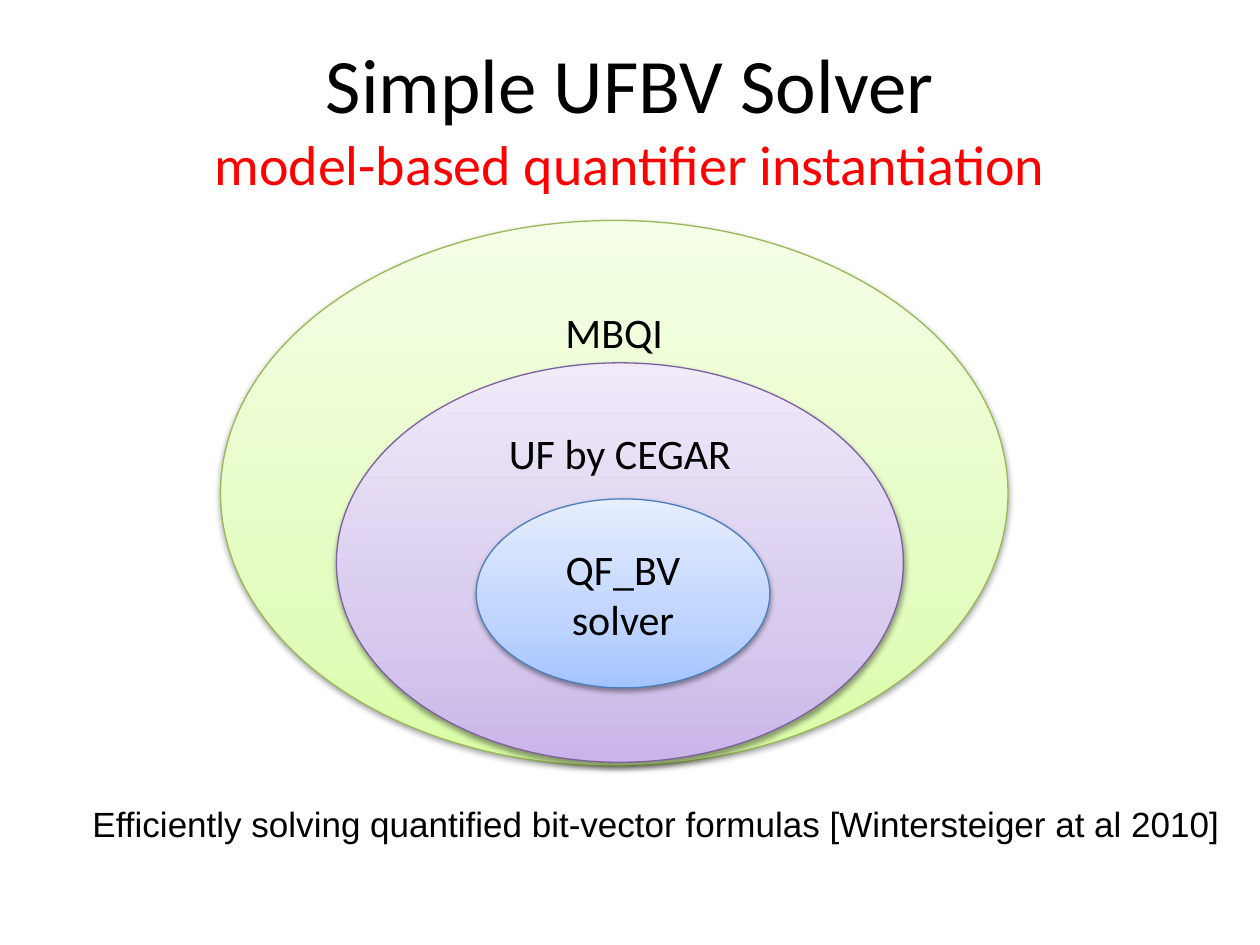
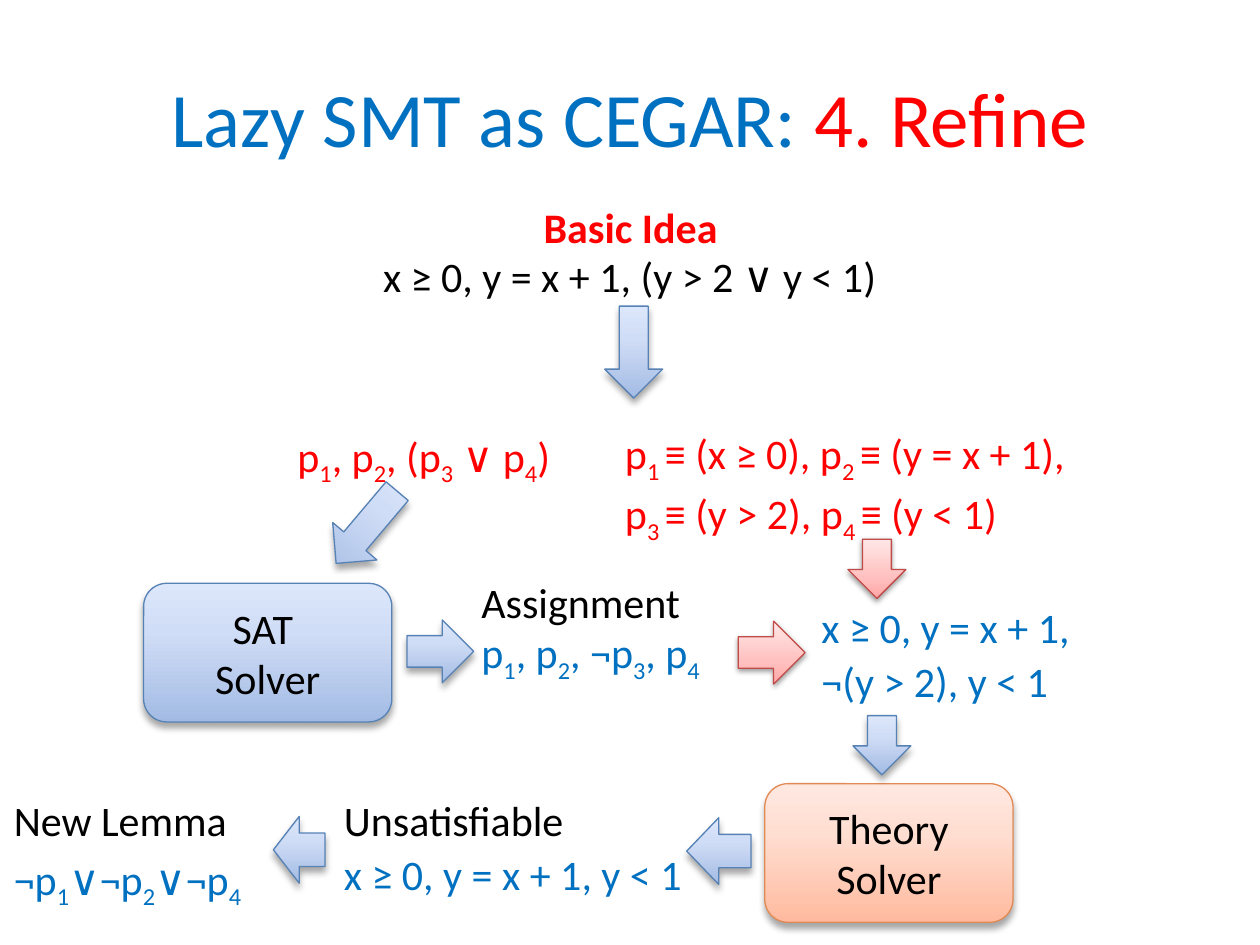
"""Build two slides on layered and lazy solvers for satisfiability modulo theories."""
from dataclasses import dataclass
from typing import NamedTuple

from lxml.etree import SubElement
from pptx import Presentation
from pptx.dml.color import RGBColor
from pptx.enum.shapes import MSO_SHAPE as Preset
from pptx.enum.text import MSO_ANCHOR as Anchor, MSO_AUTO_SIZE as AutoSize, PP_ALIGN as Align
from pptx.oxml.ns import qn
from pptx.util import Inches, Pt

COLUMNS, ROWS = 100, 75
SLIDE_WIDTH, SLIDE_HEIGHT = Inches(10), Inches(7.5)


class Box(NamedTuple):
    column: float
    row: float
    columns: float
    rows: float

    def lengths(self) -> tuple[int, ...]:
        across, down = SLIDE_WIDTH / COLUMNS, SLIDE_HEIGHT / ROWS
        return (round(self.column * across), round(self.row * down),
                round(self.columns * across), round(self.rows * down))


class Shadow(NamedTuple):
    opacity: int
    blur: float
    distance: float


class Paint(NamedTuple):
    stops: tuple[tuple[int, str], ...]
    outline: str
    shadow: Shadow


def ramp(middle: int, colors: str, outline: str, shadow: Shadow) -> Paint:
    return Paint(tuple(zip((0, middle, 100), colors.split())), outline, shadow)


SOFT = Shadow(38, 3.1, 1.6)
DEEP = Shadow(35, 4, 3)


@dataclass(frozen=True)
class Theme:
    font: str = "Calibri"
    citation_font: str = "Arial"
    title: int = 44
    subtitle: int = 32
    text: int = 24
    citation: int = 20
    spacing: float = 4.8
    black: str = "000000"
    red: str = "FF0000"
    blue: str = "0070C0"
    green_fill: Paint = ramp(35, "DAFDA7 E4FCC2 F5FFE7", "98B955", SOFT)
    purple_fill: Paint = ramp(35, "C9B5E8 D8CBEE F0EAF9", "7D60A0", SOFT)
    sky_fill: Paint = ramp(35, "A4C4FF BFD4FF E6EEFF", "4B7EBC", SOFT)
    red_fill: Paint = ramp(35, "FFA6A5 FFC0BF FFE7E7", "BF4C48", SOFT)
    blue_fill: Paint = ramp(65, "A3BBE4 D0DDF6 DCE7FB", "5782B5", DEEP)
    orange_fill: Paint = ramp(65, "FFBA9F FFDED2 FFE8E0", "E28A54", DEEP)


THEME = Theme()
TITLE_BOX = Box(5, 3, 90, 12.5)


@dataclass(frozen=True)
class Node:
    preset: Preset
    box: Box
    paint: Paint
    label: str = ""
    anchor: Anchor = Anchor.MIDDLE
    rotation: float = 0


class Line(NamedTuple):
    text: str
    color: str


@dataclass(frozen=True)
class Formula:
    box: Box
    lines: tuple[Line, ...]
    align: Align = Align.LEFT
    spacing: float = THEME.spacing


LAYERS = (
    Node(Preset.OVAL, Box(17.5, 17.5, 62.5, 43.3), THEME.green_fill, "MBQI", Anchor.TOP),
    Node(Preset.OVAL, Box(26.7, 28.8, 45, 31.7), THEME.purple_fill, "UF by CEGAR", Anchor.TOP),
    Node(Preset.OVAL, Box(37.8, 39.6, 23.3, 15), THEME.sky_fill, "QF_BV\nsolver"),
)

SOLVERS = (
    Node(Preset.ROUNDED_RECTANGLE, Box(11.4, 46.3, 19.7, 11), THEME.blue_fill, "SAT \nSolver"),
    Node(Preset.ROUNDED_RECTANGLE, Box(60.7, 62.2, 19.7, 11), THEME.orange_fill,
         "Theory\nSolver"),
)

ARROWS = (
    Node(Preset.DOWN_ARROW, Box(48, 24.3, 4.6, 7.3), THEME.blue_fill),
    Node(Preset.DOWN_ARROW, Box(26.8, 38.1, 4.6, 7.5), THEME.blue_fill, rotation=40.2),
    Node(Preset.RIGHT_ARROW, Box(32.3, 49.2, 5.3, 5), THEME.blue_fill),
    Node(Preset.RIGHT_ARROW, Box(58.6, 49.3, 5.3, 5), THEME.red_fill),
    Node(Preset.DOWN_ARROW, Box(67.3, 42.8, 4.6, 4.7), THEME.red_fill),
    Node(Preset.DOWN_ARROW, Box(67.7, 56.8, 4.6, 4.7), THEME.blue_fill),
    Node(Preset.LEFT_ARROW, Box(54.5, 64.9, 5.1, 5.3), THEME.blue_fill),
    Node(Preset.LEFT_ARROW, Box(21.7, 64.8, 4.1, 5.3), THEME.blue_fill),
)

FORMULAS = (
    Formula(Box(4.5, 20.3, 91.7, 3.6),
            (Line("x ≥ 0, y = x + 1, (y > 2 ∨ y < 1) ", THEME.black),), Align.CENTER),
    Formula(Box(23.6, 34.2, 23.8, 3.6),
            (Line("p{1}, p{2}, (p{3} ∨ p{4})", THEME.red),)),
    Formula(Box(49.6, 34, 40.8, 8.1),
            (Line("p{1 }≡ (x ≥ 0), p{2 }≡ (y = x + 1),", THEME.red),
             Line("p{3 }≡ (y > 2), p{4 }≡ (y < 1)", THEME.red))),
    Formula(Box(38.2, 46.2, 23.8, 7.3),
            (Line("Assignment", THEME.black),
             Line("p{1}, p{2}, ¬p{3}, p{4}", THEME.blue)), spacing=0),
    Formula(Box(65.2, 48.2, 21.7, 8.1),
            (Line("x ≥ 0, y = x + 1,", THEME.blue), Line("¬(y > 2), y < 1", THEME.blue))),
    Formula(Box(27.3, 63.5, 27.3, 8.1),
            (Line("Unsatisfiable", THEME.black),
             Line("x ≥ 0, y = x + 1, y < 1", THEME.blue))),
    Formula(Box(1.1, 63.5, 27.3, 8.1),
            (Line("New Lemma", THEME.black), Line("¬p{1}∨¬p{2}∨¬p{4}", THEME.blue))),
)


def style(font, size: float, color: str, name: str = THEME.font, bold: bool = False) -> None:
    font.name, font.size, font.bold = name, Pt(size), bold
    font.color.rgb = RGBColor.from_string(color)


def place(shape, box: Box) -> None:
    shape.left, shape.top, shape.width, shape.height = box.lengths()


def set_title(slide, parts: tuple[tuple[str, int, str], ...], broken: bool = False) -> None:
    title = slide.shapes.title
    place(title, TITLE_BOX)
    frame = title.text_frame
    frame.auto_size, frame.vertical_anchor = AutoSize.NONE, Anchor.MIDDLE
    paragraph = frame.paragraphs[0]
    paragraph.alignment = Align.CENTER
    for index, (text, size, color) in enumerate(parts):
        if broken and index:
            paragraph.add_line_break()
        run = paragraph.add_run()
        run.text = text
        style(run.font, size, color)


def add_color(parent, color: str):
    element = SubElement(parent, qn("a:srgbClr"))
    element.set("val", color)
    return element


def apply_paint(shape, paint: Paint) -> None:
    shape.fill.gradient()
    shape.fill.gradient_angle = 90
    shape.line.color.rgb = RGBColor.from_string(paint.outline)
    shape.line.width = Pt(0.75)
    shape.shadow.inherit = False
    properties = shape._element.spPr
    stops = properties.find(f"{qn('a:gradFill')}/{qn('a:gsLst')}")
    for stop in list(stops):
        stops.remove(stop)
    for position, color in paint.stops:
        stop = SubElement(stops, qn("a:gs"))
        stop.set("pos", str(position * 1000))
        add_color(stop, color)
    shadow = SubElement(properties.find(qn("a:effectLst")), qn("a:outerShdw"))
    shadow.set("blurRad", str(Pt(paint.shadow.blur)))
    shadow.set("dist", str(Pt(paint.shadow.distance)))
    shadow.set("dir", str(90 * 60000))
    shadow.set("rotWithShape", "0")
    alpha = SubElement(add_color(shadow, THEME.black), qn("a:alpha"))
    alpha.set("val", str(paint.shadow.opacity * 1000))


def add_node(slide, node: Node) -> None:
    shape = slide.shapes.add_shape(node.preset, *node.box.lengths())
    shape.rotation = node.rotation
    apply_paint(shape, node.paint)
    if node.label:
        frame = shape.text_frame
        frame.text = node.label
        frame.vertical_anchor = node.anchor
        for paragraph in frame.paragraphs:
            paragraph.alignment = Align.CENTER
            style(paragraph.runs[0].font, THEME.text, THEME.black)


def add_formula(slide, formula: Formula) -> None:
    frame = slide.shapes.add_textbox(*formula.box.lengths()).text_frame
    frame.word_wrap = True
    frame.margin_left = frame.margin_right = frame.margin_top = frame.margin_bottom = 0
    for index, line in enumerate(formula.lines):
        paragraph = frame.add_paragraph() if index else frame.paragraphs[0]
        paragraph.alignment, paragraph.line_spacing = formula.align, 0.9
        if index:
            paragraph.space_before = Pt(formula.spacing)
        for position, text in enumerate(line.text.replace("}", "{").split("{")):
            if text:
                run = paragraph.add_run()
                run.text = text
                style(run.font, THEME.text, line.color)
                if position % 2:
                    run._r.get_or_add_rPr().set("baseline", "-25000")


def add_citation(slide, box: Box, text: str) -> None:
    frame = slide.shapes.add_textbox(*box.lengths()).text_frame
    frame.word_wrap = True
    frame.text = text
    paragraph = frame.paragraphs[0]
    paragraph.alignment = Align.CENTER
    style(paragraph.runs[0].font, THEME.citation, THEME.black, THEME.citation_font)


def set_heading(slide, box: Box, text: str) -> None:
    body = slide.placeholders[1]
    place(body, box)
    body.text_frame.text = text
    paragraph = body.text_frame.paragraphs[0]
    paragraph.alignment, paragraph.space_before = Align.CENTER, Pt(0)
    properties = paragraph._p.get_or_add_pPr()
    properties.set("marL", "0")
    properties.set("indent", "0")
    SubElement(properties, qn("a:buNone"))
    style(paragraph.runs[0].font, THEME.text, THEME.red, bold=True)


def build_layers_slide(presentation) -> None:
    slide = presentation.slides.add_slide(presentation.slide_layouts.get_by_name("Title Only"))
    set_title(slide, (("Simple UFBV Solver", THEME.title, THEME.black),
                      ("model-based quantifier instantiation", THEME.subtitle, THEME.red)),
              broken=True)
    for layer in LAYERS:
        add_node(slide, layer)
    add_citation(slide, Box(4.2, 63.2, 95.8, 4.4),
                 "Efficiently solving quantified bit-vector formulas [Wintersteiger at al 2010]")


def build_refinement_slide(presentation) -> None:
    layout = presentation.slide_layouts.get_by_name("Title and Content")
    slide = presentation.slides.add_slide(layout)
    set_title(slide, (("Lazy SMT as CEGAR: ", THEME.title, THEME.blue),
                      ("4. Refine", THEME.title, THEME.red)))
    set_heading(slide, Box(4.2, 15.5, 91.7, 24.2), "Basic Idea")
    for node in SOLVERS + ARROWS:
        add_node(slide, node)
    for formula in FORMULAS:
        add_formula(slide, formula)


def main() -> None:
    presentation = Presentation()
    presentation.slide_width, presentation.slide_height = SLIDE_WIDTH, SLIDE_HEIGHT
    build_layers_slide(presentation)
    build_refinement_slide(presentation)
    presentation.save("out.pptx")


if __name__ == "__main__":
    main()
